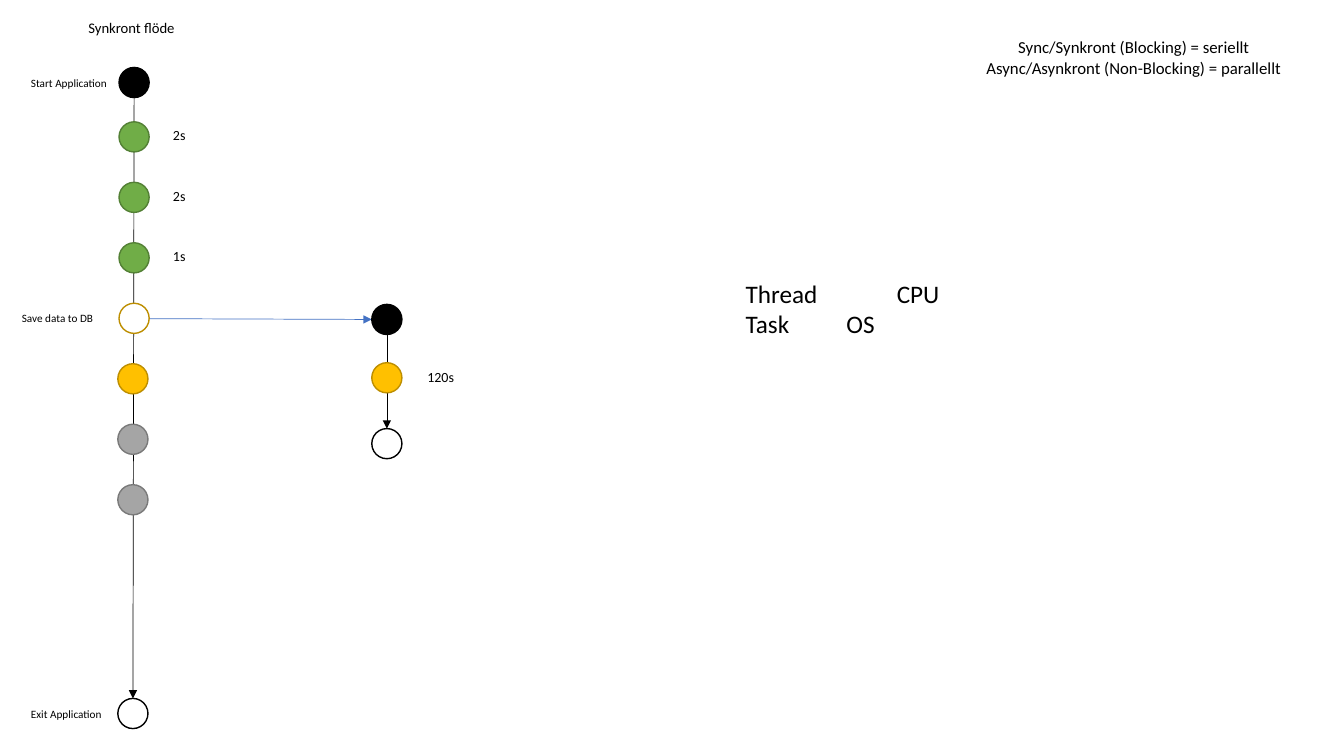
"""Build the slide on synchronous flow, with its main thread and one side task."""
import pptx
import pptx.util
import pptx.dml.color
import pptx.enum.shapes
import pptx.enum.text
import pptx.oxml

Cm, Pt = pptx.util.Cm, pptx.util.Pt
RGB = pptx.dml.color.RGBColor.from_string
ALIGN = pptx.enum.text.PP_ALIGN

COLORS = {
    "black": "000000", "white": "FFFFFF", "blue": "4472C4",
    "green": "70AD47", "moss": "538035",
    "gold": "FFC000", "ochre": "BD8E00",
    "gray": "A5A5A5", "slate": "7A7A7A",
}
NS = 'xmlns:a="http://schemas.openxmlformats.org/drawingml/2006/main"'
SIZE = 0.76
TOP, STEP = 3.07, 1.524

deck = pptx.Presentation()
deck.slide_width, deck.slide_height = Cm(33.87), Cm(19.05)
slide = deck.slides.add_slide(deck.slide_layouts[6])
shapes = slide.shapes

arrows = [
    (3.38, 2.46, 3.35, 17.6, "black"),
    (9.75, 8.43, 9.75, 10.8, "black"),
    (3.76, 8.03, 9.37, 8.05, "blue"),
]
for x1, y1, x2, y2, color in arrows:
    arrow = shapes.add_connector(
        pptx.enum.shapes.MSO_CONNECTOR.STRAIGHT, Cm(x1), Cm(y1), Cm(x2), Cm(y2))
    arrow.line.color.rgb = RGB(COLORS[color])
    arrow.line.width = Pt(0.5)
    arrow.line._get_or_add_ln().append(
        pptx.oxml.parse_xml(f'<a:tailEnd {NS} type="triangle"/>'))
    arrow._element.spPr.append(pptx.oxml.parse_xml(f"<a:effectLst {NS}/>"))

steps = [
    (3.0, "green", "moss"), (3.0, "green", "moss"), (3.0, "green", "moss"),
    (3.0, "white", "ochre"), (2.97, "gold", "ochre"),
    (2.97, "gray", "slate"), (2.97, "gray", "slate"),
]
nodes = [(x, TOP + STEP * i, fill, edge) for i, (x, fill, edge) in enumerate(steps)]
nodes += [
    (3.0, 1.7, "black", "black"),
    (2.97, 17.6, None, "black"),
    (9.37, 7.67, "black", "black"),
    (9.37, 9.14, "gold", "ochre"),
    (9.37, 10.8, None, "black"),
]
for x, y, fill, edge in nodes:
    node = shapes.add_shape(
        pptx.enum.shapes.MSO_SHAPE.OVAL, Cm(x), Cm(y), Cm(SIZE), Cm(SIZE))
    node.shadow.inherit = False
    if fill:
        node.fill.solid()
        node.fill.fore_color.rgb = RGB(COLORS[fill])
    else:
        node.fill.background()
    node.line.color.rgb = RGB(COLORS[edge])
    node.line.width = Pt(1)

labels = [
    ("Start Application", 0.53, 1.8, 2.44, 0.6, 8, ALIGN.LEFT),
    ("Save data to DB", 0.3, 7.72, 2.34, 0.6, 8, ALIGN.LEFT),
    ("Exit Application", 0.53, 17.7, 2.31, 0.6, 8, ALIGN.LEFT),
    ("Synkront flöde", 1.98, 0.36, 2.72, 0.7, 10.5, ALIGN.LEFT),
    ("120s", 10.52, 9.17, 1.19, 0.68, 10, ALIGN.LEFT),
    ("Sync/Synkront (Blocking) = seriellt\n"
     "Async/Asynkront (Non-Blocking) = parallellt",
     24.56, 0.81, 8.03, 1.27, 12, ALIGN.CENTER),
    ("Thread\t\tCPU\nTask\t\tOS", 18.54, 6.88, 6.73, 1.8, 18, ALIGN.LEFT),
]
labels += [(time, 4.11, TOP + STEP * i, 0.84, 0.68, 10, ALIGN.LEFT)
           for i, time in enumerate(["2s", "2s", "1s"])]
frame = {"word_wrap": False,
         "auto_size": pptx.enum.text.MSO_AUTO_SIZE.SHAPE_TO_FIT_TEXT}
for text, x, y, w, h, size, align in labels:
    label = shapes.add_textbox(Cm(x), Cm(y), Cm(w), Cm(h)).text_frame
    label.text = text
    for key, value in frame.items():
        setattr(label, key, value)
    for line in label.paragraphs:
        line.alignment = align
        font = line.runs[0].font
        for key, value in {"name": "Calibri", "size": Pt(size)}.items():
            setattr(font, key, value)
        font.color.rgb = RGB(COLORS["black"])

deck.save("out.pptx")
